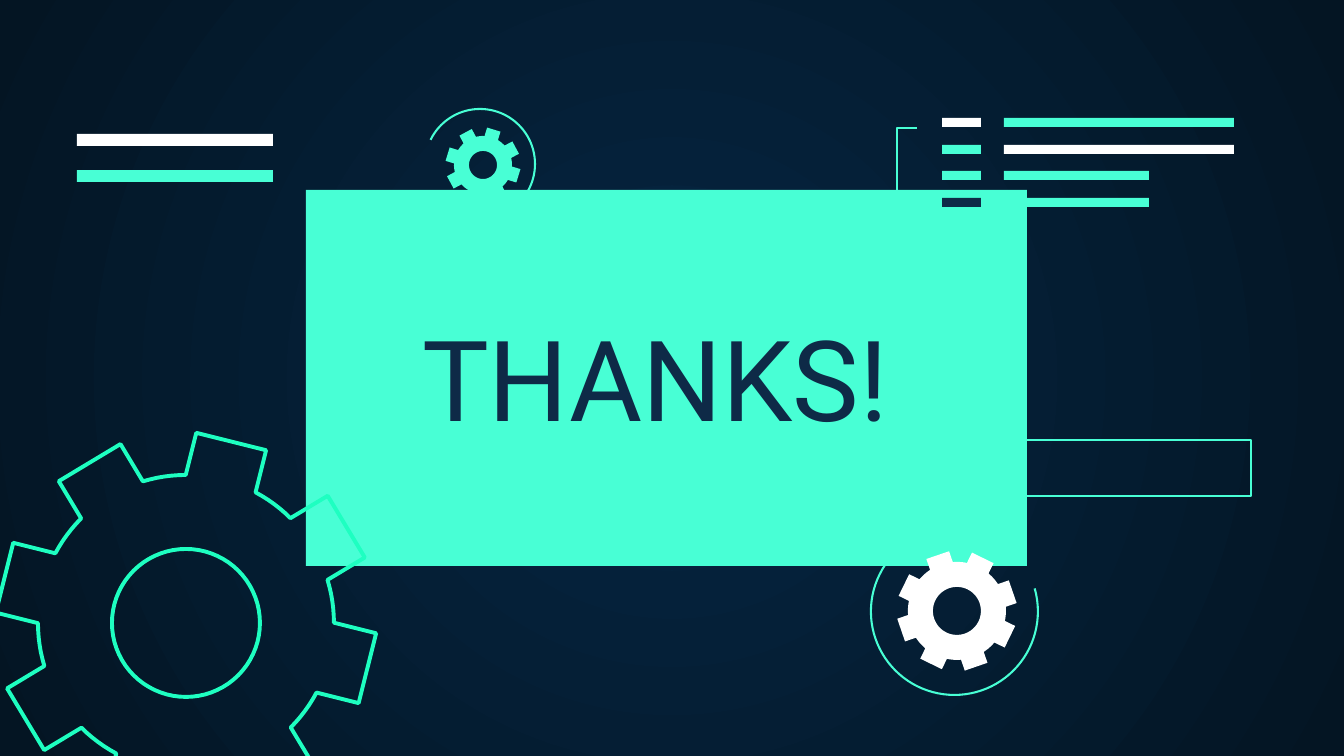
import math
from dataclasses import dataclass

from lxml import etree
from pptx import Presentation
from pptx.dml.color import RGBColor
from pptx.enum import shapes, text
from pptx.oxml import ns
from pptx.util import Pt

EMU_PER_PX = 914400 / 134.4


@dataclass(frozen=True)
class Theme:
    mint: str = "48FFD5"
    bright_mint: str = "1EFFC1"
    white: str = "FFFFFF"
    navy: str = "0E2A47"
    center: str = "052643"
    edge: str = "041523"
    font: str = "Roboto"
    title_size: int = 60
    thin: float = 1.1
    thick: float = 2.1


THEME = Theme()


def px(value):
    return round(value * EMU_PER_PX)


def color(value):
    return RGBColor.from_string(value)


def paint(shape, fill=None, line=None, weight=THEME.thin):
    shape.shadow.inherit = False
    if fill:
        shape.fill.solid()
        shape.fill.fore_color.rgb = color(fill)
    else:
        shape.fill.background()
    if line:
        shape.line.color.rgb = color(line)
        shape.line.width = Pt(weight)
    else:
        shape.line.fill.background()
    return shape


def add_preset(slide, kind, box, **style):
    shape = slide.shapes.add_shape(kind, *map(px, box))
    return paint(shape, **style)


def add_bar(slide, box, **style):
    return add_preset(slide, shapes.MSO_SHAPE.RECTANGLE, box, **style)


def add_outline(slide, contours, closed=True, **style):
    contours = [[(px(x), px(y)) for x, y in contour] for contour in contours]
    first, *others = contours
    builder = slide.shapes.build_freeform(*first[0])
    builder.add_line_segments(first[1:], close=closed)
    for contour in others:
        builder.move_to(*contour[0])
        builder.add_line_segments(contour[1:], close=closed)
    return paint(builder.convert_to_shape(), **style)


def set_background(slide):
    fill = slide.background.fill
    fill.gradient()
    for stop, value, position in zip(fill.gradient_stops, (THEME.center, THEME.edge), (0, 1)):
        stop.color.rgb = color(value)
        stop.position = position
    gradient = next(slide.element.iter(ns.qn("a:gradFill")))
    linear = gradient.find(ns.qn("a:lin"))
    if linear is not None:
        gradient.remove(linear)
    circle = etree.SubElement(gradient, ns.qn("a:path"), path="circle")
    etree.SubElement(circle, ns.qn("a:fillToRect"), l="50000", t="50000", r="50000", b="50000")


def add_gear(slide, box, root, hole, half_tooth, turn, **style):
    """Eight straight-sided teeth on a ring; the box spans opposite tooth tips."""
    left, top, size = box
    tip = size / 2
    center_x, center_y = left + tip, top + tip

    def polar(radius, angle):
        return center_x + radius * math.cos(angle), center_y + radius * math.sin(angle)

    root_angle = math.asin(half_tooth / root)
    tip_angle = math.atan2(half_tooth, tip)
    corner = math.hypot(half_tooth, tip)
    gap = math.pi / 4 - 2 * root_angle
    rim = []
    for tooth in range(8):
        angle = math.radians(turn + 45 * tooth)
        rim += [polar(corner, angle - tip_angle), polar(corner, angle + tip_angle)]
        rim += [polar(root, angle + root_angle + gap * step / 6) for step in range(7)]
    ring = [polar(hole, -math.tau * step / 72) for step in range(72)]
    add_outline(slide, [rim, ring], **style)


def add_orbit(slide, box, start, end):
    left, top, size = box
    arc = add_preset(slide, shapes.MSO_SHAPE.ARC, (left, top, size, size), line=THEME.mint)
    # Arc adjustments count 1/60000 degree, divided by 100000
    for index, degrees in enumerate((start, end)):
        arc.adjustments[index] = degrees * 0.6


def add_code_list(slide, box):
    left, top, width, height = box
    rows = [
        (THEME.white, THEME.mint, 230),
        (THEME.mint, THEME.white, 230),
        (THEME.mint, THEME.mint, 145),
        (THEME.navy, THEME.mint, 145),
    ]
    bar_height = 9
    pitch = (height - bar_height) / (len(rows) - 1)
    for row, (marker, bar, length) in enumerate(rows):
        y = top + round(row * pitch)
        add_bar(slide, (left + 45, y, 39, bar_height), fill=marker)
        add_bar(slide, (left + 107, y, length, bar_height), fill=bar)
    # Bracket beside the rows
    bracket = [(20, 92), (0, 92), (0, 10), (20, 10)]
    add_outline(slide, [[(left + x, top + y) for x, y in bracket]], closed=False, line=THEME.mint)


def add_heading_bars(slide, box):
    left, top, width, height = box
    for offset, fill in ((0, THEME.white), (height - 12, THEME.mint)):
        add_bar(slide, (left, top + offset, width, 12), fill=fill)


def add_title(slide, box, wording):
    frame = slide.shapes.add_textbox(*map(px, box)).text_frame
    inset = px(13)
    frame_format = {
        "word_wrap": True,
        "vertical_anchor": text.MSO_ANCHOR.BOTTOM,
        "margin_left": inset,
        "margin_right": inset,
        "margin_top": inset,
        "margin_bottom": inset,
    }
    for name, value in frame_format.items():
        setattr(frame, name, value)
    paragraph = frame.paragraphs[0]
    paragraph.alignment = text.PP_ALIGN.LEFT
    run = paragraph.add_run()
    run.text = wording
    for name, value in {"name": THEME.font, "size": Pt(THEME.title_size)}.items():
        setattr(run.font, name, value)
    run.font.color.rgb = color(THEME.navy)


def build_thanks_slide(presentation):
    slide = presentation.slides.add_slide(presentation.slide_layouts[6])
    set_background(slide)
    # Central card
    add_bar(slide, (306, 190, 721, 376), fill=THEME.mint)
    # Orbits and gears
    add_orbit(slide, (425, 109, 110), 206, 105)
    add_orbit(slide, (871, 528, 167), 344, 233)
    add_gear(slide, (-1, 436, 374), root=148, hole=74, half_tooth=36, turn=14,
             line=THEME.bright_mint, weight=THEME.thick)
    add_gear(slide, (898, 552, 118), root=49, hole=24, half_tooth=12, turn=26, fill=THEME.white)
    add_gear(slide, (446, 128, 74), root=29, hole=14, half_tooth=7, turn=17, fill=THEME.mint)
    # Bars and frame
    add_code_list(slide, (897, 118, 337, 89))
    add_heading_bars(slide, (77, 134, 196, 48))
    add_bar(slide, (968, 440, 283, 56), line=THEME.mint)
    # Title
    add_title(slide, (409, 293, 526, 164), "THANKS!")


def main():
    presentation = Presentation()
    presentation.slide_width, presentation.slide_height = px(1344), px(756)
    build_thanks_slide(presentation)
    presentation.save("out.pptx")


if __name__ == "__main__":
    main()
